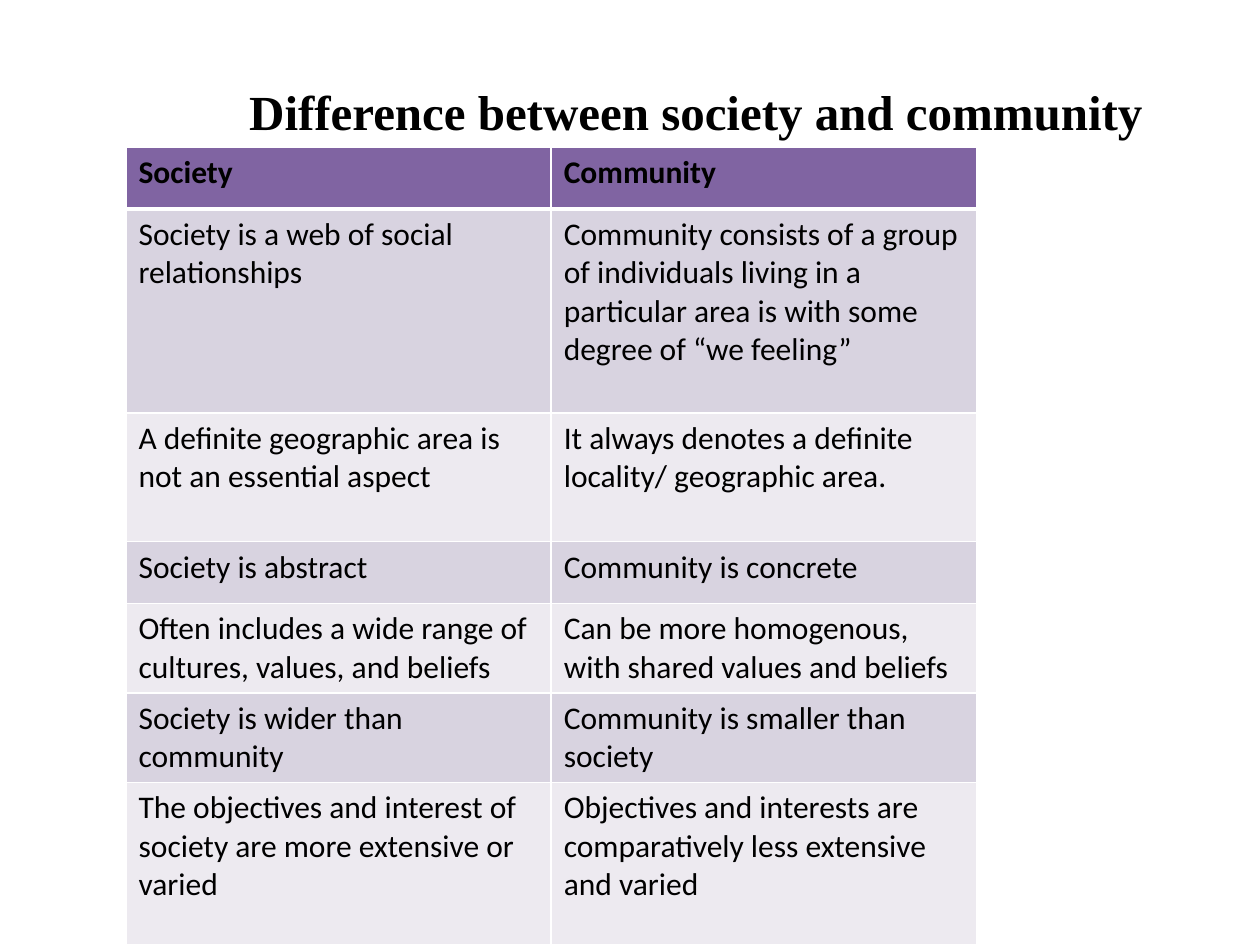
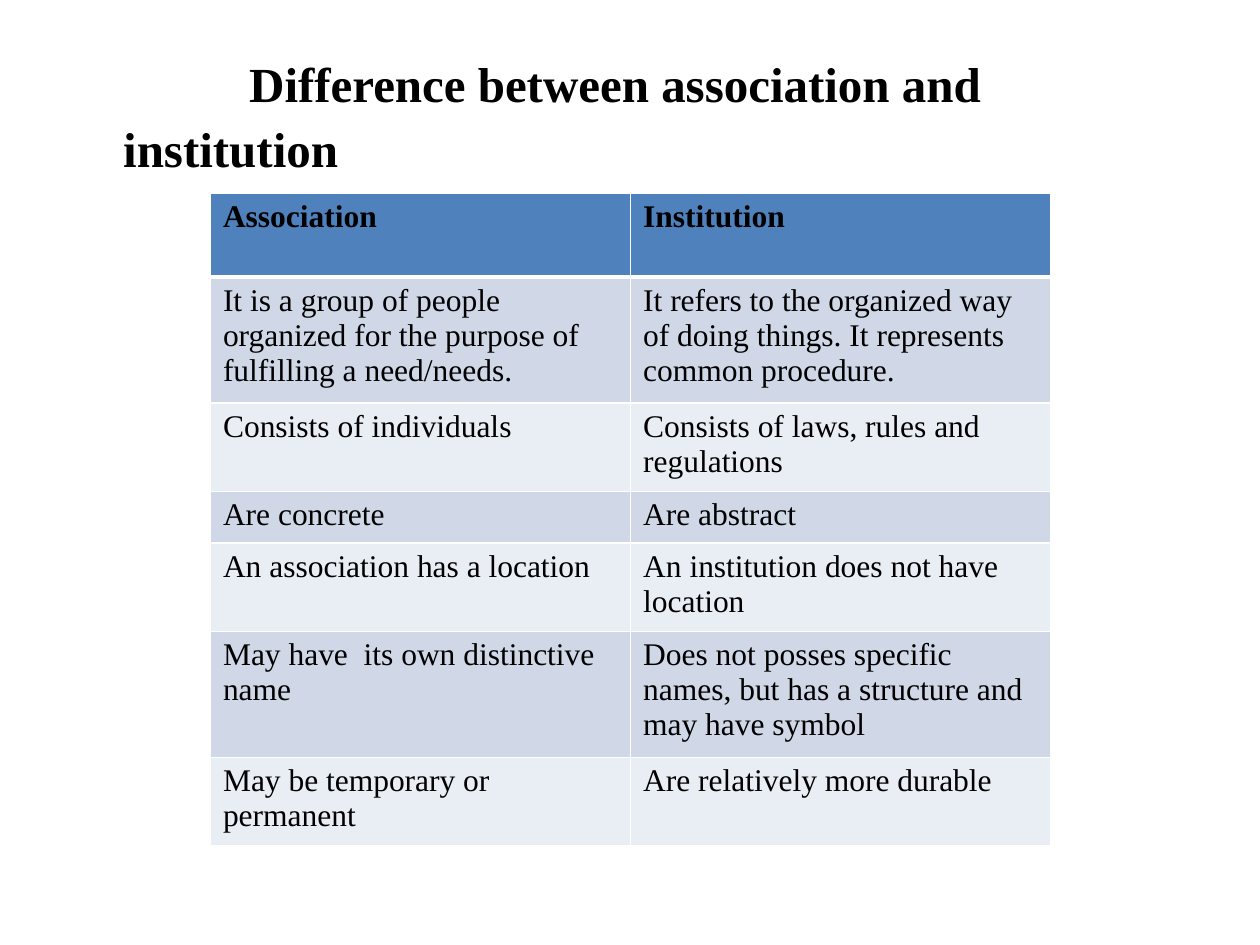
import pptx
import pptx.util
import pptx.dml.color
import pptx.enum.text
import lxml.etree
from dataclasses import dataclass

# Content: heading, table rows and placement in inches
COMPARISONS = [
    {
        "title": "Difference between society and community",
        "title_top": 0.5, "title_inset": 0.1,
        "table_left": 1, "table_top": 1.17, "table_width": 6.75,
        "row_heights": [0.49, 1.62, 1.02, 0.49, 0.71, 0.71, 1.29],
        "middle_rows": [4],
        "font": "Calibri", "header": "8064A2", "bands": ("D8D3E0", "EDEAF0"),
        "rows": [
            ("Society", "Community"),
            ("Society is a web of social relationships",
             "Community consists of a group of individuals living in a "
             "particular area is with some degree of “we feeling”"),
            ("A definite geographic area is not an essential aspect",
             "It always denotes a definite locality/ geographic area."),
            ("Society is abstract", "Community is concrete"),
            ("Often includes a wide range of cultures, values, and beliefs",
             "Can be more homogenous, with shared values and beliefs"),
            ("Society is wider than community",
             "Community is smaller than society"),
            ("The objectives and interest of society are more extensive or varied",
             "Objectives and interests are comparatively less extensive and varied"),
        ],
    },
    {
        "title": "Difference between association and institution",
        "title_top": 0.33, "title_inset": 0.05,
        "table_left": 1.67, "table_top": 1.53, "table_width": 6.67,
        "row_heights": [0.67, 0.94, 0.65, 0.41, 0.65, 0.94, 0.65],
        "middle_rows": [],
        "font": "Times New Roman", "header": "4F81BD", "bands": ("D0D8E8", "E9EDF4"),
        "rows": [
            ("Association", "Institution"),
            ("It is a group of people organized for the purpose of "
             "fulfilling a need/needs.",
             "It refers to the organized way of doing things. "
             "It represents common procedure."),
            ("Consists of individuals", "Consists of laws, rules and regulations"),
            ("Are concrete", "Are abstract"),
            ("An association has a location",
             "An institution does not have location"),
            ("May have  its own distinctive name",
             "Does not posses specific names, but has a structure and "
             "may have symbol"),
            ("May be temporary or permanent", "Are relatively more durable"),
        ],
    },
]


@dataclass(frozen=True)
class Theme:
    text: str = "000000"
    border: str = "FFFFFF"
    title_font: str = "Times New Roman"
    title_size: int = 28
    cell_size: int = 18
    thin: int = 1
    thick: int = 3


THEME = Theme()
SLIDE_WIDTH, SLIDE_HEIGHT = 10, 7.5
TITLE_LEFT, TITLE_WIDTH, TITLE_BOTTOM = 0.5, 9, 6.7
TITLE_MARGIN, TITLE_INDENT = 0.38, 1

inches = pptx.util.Inches
rgb = pptx.dml.color.RGBColor.from_string


def write_text(frame, text, *, font, size, bold=False, line_spacing=1.0):
    """Write one formatted paragraph into a text frame and return it."""
    frame.word_wrap = True
    paragraph = frame.paragraphs[0]
    paragraph.line_spacing = line_spacing
    run = paragraph.add_run()
    run.text = text
    run.font.name = font
    run.font.size = pptx.util.Pt(size)
    run.font.bold = bold
    run.font.color.rgb = rgb(THEME.text)
    return paragraph


def set_borders(cell, widths):
    """Draw cell borders; they must come before the fill in the XML."""
    properties = cell._tc.get_or_add_tcPr()
    for side, width in widths.items():
        line = lxml.etree.SubElement(properties, pptx.oxml.ns.qn(f"a:ln{side}"),
                                     w=str(pptx.util.Pt(width)))
        fill = lxml.etree.SubElement(line, pptx.oxml.ns.qn("a:solidFill"))
        lxml.etree.SubElement(fill, pptx.oxml.ns.qn("a:srgbClr"), val=THEME.border)


def add_title(slide, comparison):
    top = comparison["title_top"]
    shape = slide.shapes.add_textbox(inches(TITLE_LEFT), inches(top),
                                     inches(TITLE_WIDTH), inches(TITLE_BOTTOM - top))
    shape.text_frame.margin_top = inches(comparison["title_inset"])
    paragraph = write_text(shape.text_frame, comparison["title"], font=THEME.title_font,
                           size=THEME.title_size, bold=True, line_spacing=1.1)
    # The first line starts one inch further in than the rest
    properties = paragraph._p.get_or_add_pPr()
    properties.set("marL", str(inches(TITLE_MARGIN)))
    properties.set("indent", str(inches(TITLE_INDENT)))


def add_comparison_table(slide, comparison):
    rows, heights = comparison["rows"], comparison["row_heights"]
    columns = len(rows[0])
    table = slide.shapes.add_table(
        len(rows), columns, inches(comparison["table_left"]),
        inches(comparison["table_top"]), inches(comparison["table_width"]),
        inches(sum(heights))).table
    for column in table.columns:
        column.width = inches(comparison["table_width"] / columns)

    for row_index, (texts, height) in enumerate(zip(rows, heights)):
        table.rows[row_index].height = inches(height)
        is_header = row_index == 0
        color = comparison["header"] if is_header else comparison["bands"][(row_index - 1) % 2]
        borders = {"L": THEME.thin, "R": THEME.thin,
                   "T": THEME.thick if row_index == 1 else THEME.thin,
                   "B": THEME.thick if is_header else THEME.thin}
        for column_index, text in enumerate(texts):
            cell = table.cell(row_index, column_index)
            set_borders(cell, borders)
            cell.fill.solid()
            cell.fill.fore_color.rgb = rgb(color)
            if row_index in comparison["middle_rows"]:
                cell.vertical_anchor = pptx.enum.text.MSO_ANCHOR.MIDDLE
            write_text(cell.text_frame, text, font=comparison["font"],
                       size=THEME.cell_size, bold=is_header)


def main():
    presentation = pptx.Presentation()
    presentation.slide_width = inches(SLIDE_WIDTH)
    presentation.slide_height = inches(SLIDE_HEIGHT)
    for comparison in COMPARISONS:
        slide = presentation.slides.add_slide(presentation.slide_layouts[6])
        add_title(slide, comparison)
        add_comparison_table(slide, comparison)
    presentation.save("out.pptx")


if __name__ == "__main__":
    main()
